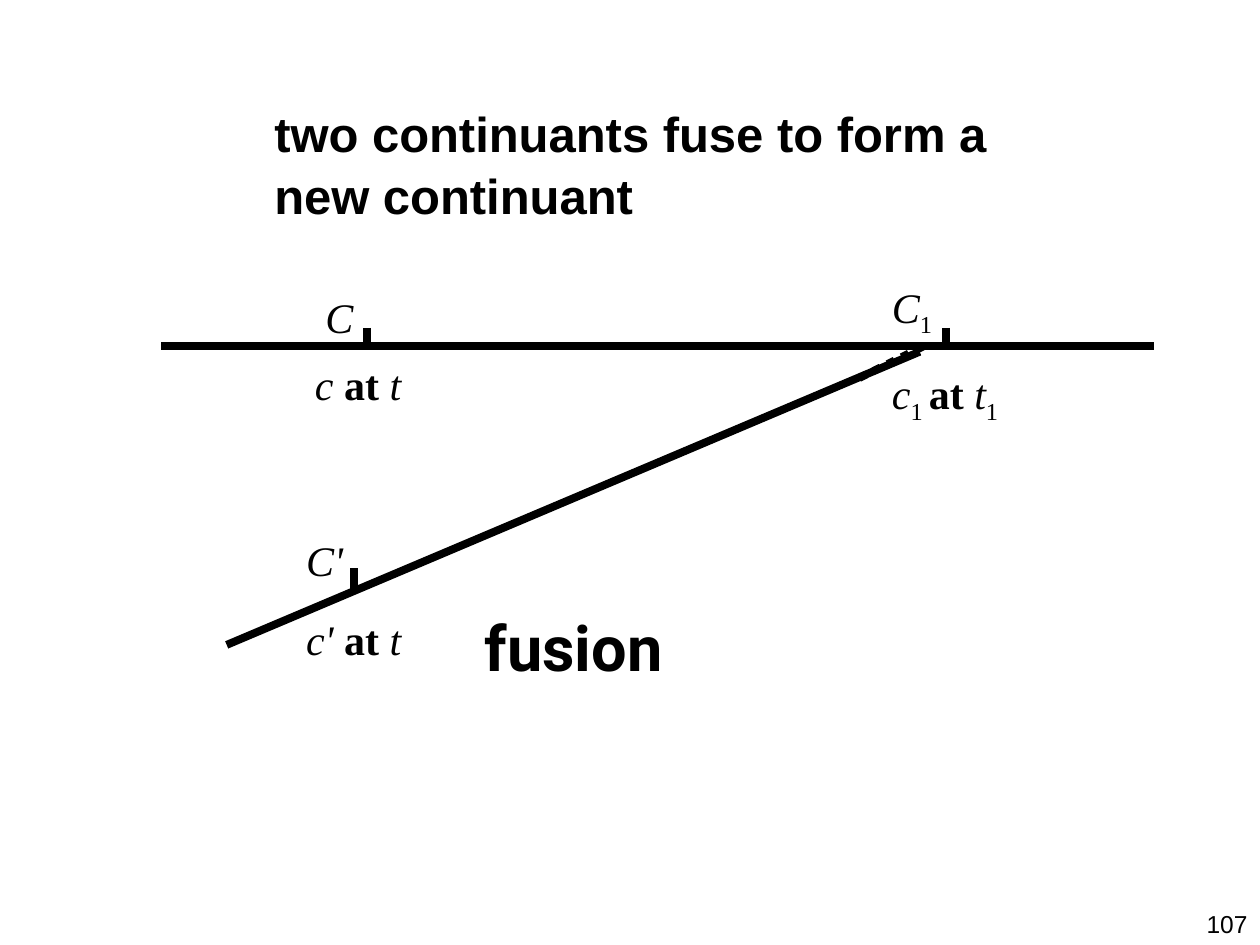
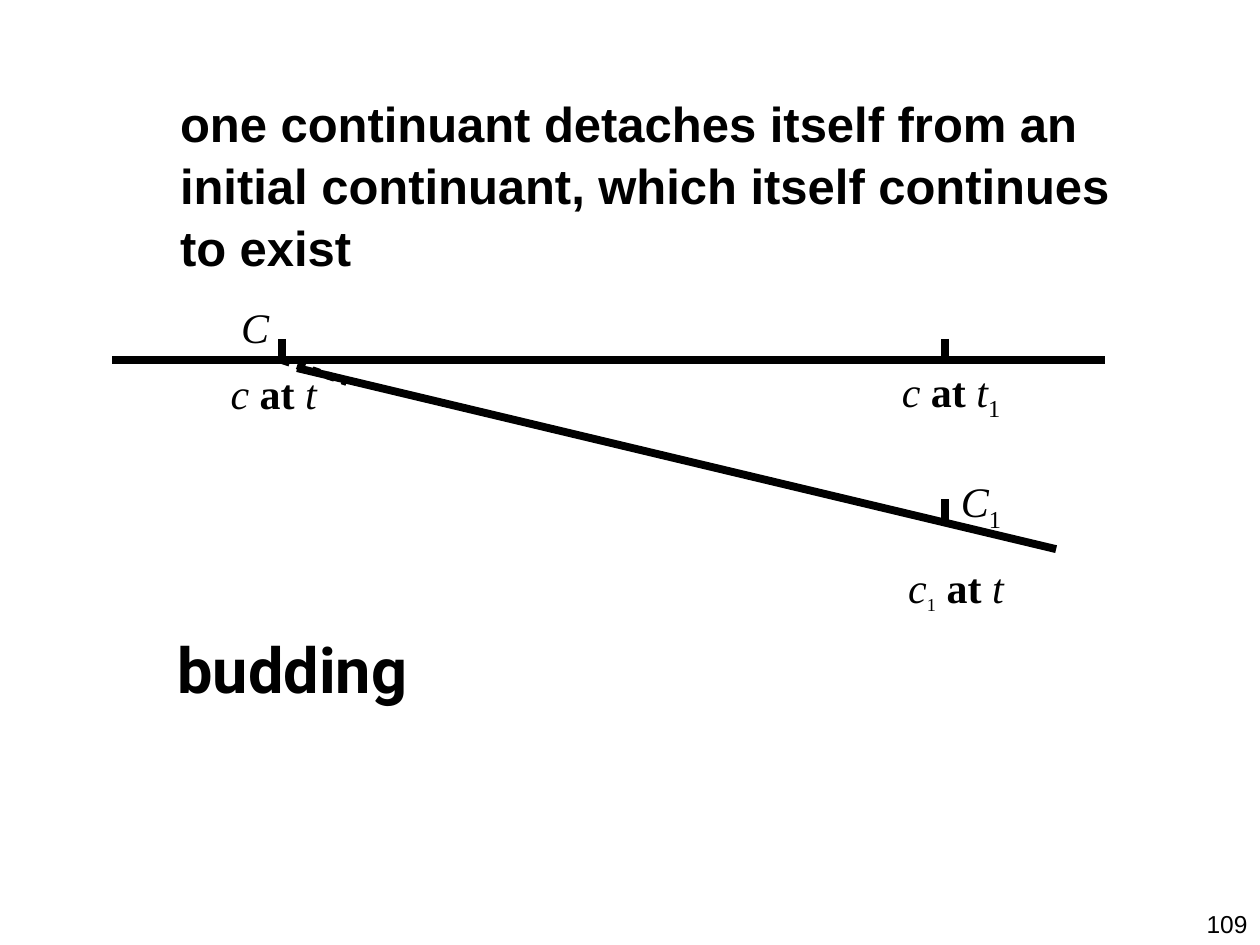
from lxml import etree
from pptx import Presentation
from pptx import util as u
from pptx.dml import color
from pptx.enum import dml, shapes, text
from pptx.oxml import ns

WIDE, TIGHT = (0.25, 0.13), (0.2, 0.1)  # horizontal and vertical insets in cm
ITALIC = {"italic": True}
BOLD = {"bold": True}
SUB = {"subscript": True}
SMALL_SUB = {"subscript": True, "size": u.Pt(18)}
AT_T = [("at ", BOLD), ("t", ITALIC)]


def rgb(value):
    return color.RGBColor.from_string(value)


class Diagram:
    """Holds the shared style and the slide being drawn."""

    INK = "000000"
    PAPER = "FFFFFF"
    LINE_WIDTH = u.Pt(4.5)
    TICK_HEIGHT = 0.42
    TITLE = {"name": "Arial", "size": u.Pt(28), "bold": True}
    CAPTION = {"name": "Roboto", "size": u.Pt(36), "bold": True}
    SYMBOL = {"name": "Times New Roman", "size": u.Pt(24)}
    NUMBER = {"name": "Arial", "size": u.Pt(14)}

    def __init__(self, presentation):
        self.presentation = presentation
        self.slide = None

    def new_slide(self, number):
        self.slide = self.presentation.slides.add_slide(self.presentation.slide_layouts[6])
        fill = self.slide.background.fill
        fill.solid()
        fill.fore_color.rgb = rgb(self.PAPER)
        self.text_box((20.96, 18.2, 4.44, 0.85), [[(number, {})]], self.NUMBER,
                      spacing=1, alignment=text.PP_ALIGN.RIGHT)

    def text_box(self, box, paragraphs, style, insets=WIDE, spacing=1.05, after=0,
                 indent=0, alignment=text.PP_ALIGN.LEFT):
        """Write paragraphs of (words, format) runs; indent applies to the first one."""
        frame = self.slide.shapes.add_textbox(*map(u.Cm, box)).text_frame
        horizontal, vertical = map(u.Cm, insets)
        frame_format = {"word_wrap": True, "margin_left": horizontal, "margin_right": horizontal,
                        "margin_top": vertical, "margin_bottom": vertical}
        for name, value in frame_format.items():
            setattr(frame, name, value)
        for index, runs in enumerate(paragraphs):
            paragraph = frame.add_paragraph() if index else frame.paragraphs[0]
            paragraph.alignment = alignment
            paragraph.line_spacing = spacing
            if index == 0:
                paragraph.space_after = u.Pt(after)
                if indent:
                    paragraph._p.get_or_add_pPr().set("marL", str(u.Cm(indent)))
            for words, run_format in runs:
                self.run(paragraph, words, {**style, **run_format})

    def run(self, paragraph, words, run_format):
        run = paragraph.add_run()
        run.text = words
        run.font.color.rgb = rgb(self.INK)
        for name, value in run_format.items():
            if name == "subscript":
                run._r.get_or_add_rPr().set("baseline", "-25000")
            else:
                setattr(run.font, name, value)

    def title(self, box, words):
        self.text_box(box, [[(words, {})]], self.TITLE)

    def caption(self, left, top, words):
        self.text_box((left, top, 9.52, 1.78), [[(words, {})]], self.CAPTION)

    def label(self, box, paragraphs, **layout):
        self.text_box(box, paragraphs, self.SYMBOL, **layout)

    def line(self, start, end, dash=None):
        connector = self.slide.shapes.add_connector(
            shapes.MSO_CONNECTOR.STRAIGHT, *map(u.Cm, (*start, *end)))
        connector.line.color.rgb = rgb(self.INK)
        connector.line.width = self.LINE_WIDTH
        if dash:
            connector.line.dash_style = dash
        etree.SubElement(connector._element.spPr, ns.qn("a:effectLst"))

    def dotted_line(self, start, end):
        self.line(start, end, dml.MSO_LINE.ROUND_DOT)

    def tick(self, x, bottom):
        self.line((x, bottom - self.TICK_HEIGHT), (x, bottom))

    def initial_continuant(self, left, top):
        """Label C above its line and c at t below it."""
        self.label((left, top, 2.7, 2.84), [[("C", ITALIC)], [("c ", ITALIC), *AT_T]],
                   insets=TIGHT, after=8, indent=0.21)


def draw_fusion(diagram):
    diagram.new_slide("107")
    diagram.title((5.28, 1.9, 15.44, 2.62), "two continuants fuse to form a new continuant")

    # Life lines and their meeting point
    diagram.line((3.25, 6.98), (23.27, 6.98))
    diagram.line((4.57, 13), (18.54, 7.09))
    diagram.dotted_line((17.32, 7.62), (18.62, 6.98))
    for x, bottom in ((7.39, 7.03), (19.08, 7.03), (7.14, 11.88)):
        diagram.tick(x, bottom)

    # Labels
    diagram.initial_continuant(6.15, 5.72)
    diagram.label((17.78, 5.51, 3.05, 3.4),
                  [[("C", ITALIC), ("1", SUB)],
                   [("c", ITALIC), ("1 ", SUB), *AT_T, ("1", SUB)]],
                  insets=TIGHT, after=15)
    diagram.label((5.92, 10.59, 4.24, 2.82),
                  [[("C'", ITALIC)], [("c' ", ITALIC), *AT_T]], after=15)
    diagram.caption(9.52, 12.06, "fusion")


def draw_budding(diagram):
    diagram.new_slide("109")
    diagram.title((3.38, 1.7, 20.32, 2.62),
                  "one continuant detaches itself from an initial continuant, "
                  "which itself continues to exist")

    # Life lines and the point of detachment
    diagram.line((2.26, 7.26), (22.28, 7.26))
    diagram.line((5.99, 7.42), (21.29, 11.07))
    diagram.dotted_line((5.69, 7.26), (6.99, 7.7))
    for x, bottom in ((5.69, 7.25), (19.05, 7.25), (19.05, 10.48)):
        diagram.tick(x, bottom)

    # Labels
    diagram.initial_continuant(4.45, 5.92)
    diagram.label((17.98, 7.21, 3.05, 1.3),
                  [[("c ", ITALIC), *AT_T, ("1", SUB)]], insets=TIGHT)
    diagram.label((18.06, 9.4, 4.24, 3.02),
                  [[("C", ITALIC), ("1", SUB)],
                   [("c", ITALIC), ("1", SMALL_SUB), (" ", ITALIC), *AT_T]],
                  after=15, indent=1.06)
    diagram.caption(3.33, 12.5, "budding")


def main():
    presentation = Presentation()
    presentation.slide_width, presentation.slide_height = u.Cm(25.4), u.Cm(19.05)
    diagram = Diagram(presentation)
    draw_fusion(diagram)
    draw_budding(diagram)
    presentation.save("out.pptx")


if __name__ == "__main__":
    main()
